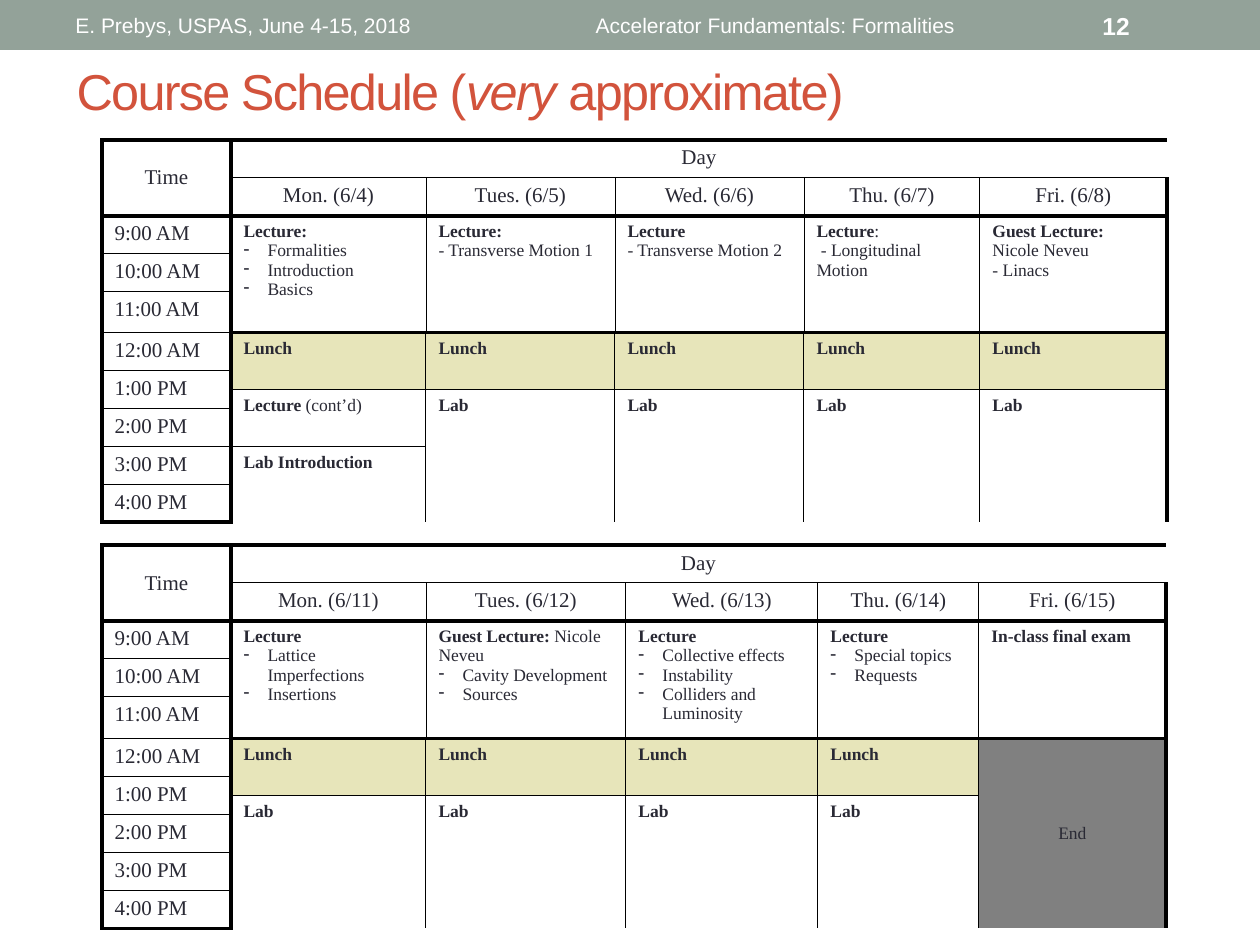
from lxml import etree
from pptx import Presentation, util as u
from pptx.dml.color import RGBColor
from pptx.enum import shapes, text
from pptx.oxml.ns import qn


def px(n):
    return u.Emu(round(n * 914400 / 126))


def add_run(paragraph, words, size, color, face, bold=False):
    run = paragraph.add_run()
    run.text = words
    run.font.size = u.Pt(size)
    run.font.name = face
    run.font.bold = bold
    run.font.color.rgb = RGBColor.from_string(color)
    return run


INK, LUNCH, GREY = "292934", "E7E5BA", "808080"
NO_STYLE = "{2D5ABB26-0587-4C30-8999-92F81FD0307C}"
LEFT, CENTER = text.PP_ALIGN.LEFT, text.PP_ALIGN.CENTER
MIDDLE = text.MSO_ANCHOR.MIDDLE

deck = Presentation()
deck.slide_width, deck.slide_height = px(1260), px(945)
slide = deck.slides.add_slide(deck.slide_layouts[5])

band = slide.shapes.add_shape(shapes.MSO_SHAPE.RECTANGLE, 0, 0, px(1260), px(50))
band.shadow.inherit = False
band.fill.solid()
band.fill.fore_color.rgb = RGBColor.from_string("93A299")
band.line.fill.background()

heading = slide.shapes.title
heading.left, heading.top, heading.width, heading.height = px(64), px(60), px(1139), px(61)
heading.text_frame.auto_size = text.MSO_AUTO_SIZE.NONE
heading.text_frame.vertical_anchor = MIDDLE
heading_line = heading.text_frame.paragraphs[0]
heading_line.alignment = LEFT
for words, italic in [("Course Schedule (", False), ("very", True), (" approximate)", False)]:
    run = add_run(heading_line, words, 28.8, "D2533C", "Arial")
    run.font.italic = italic
    run.font._element.set("spc", "-100")

for left, width, words, size, align, bold in [
    (63, 399, "E. Prebys, USPAS, June 4-15, 2018", 12, LEFT, False),
    (472, 607, "Accelerator Fundamentals: Formalities", 12, CENTER, False),
    (1090, 107, "12", 14, LEFT, True),
]:
    label = slide.shapes.add_textbox(px(left), px(3), px(width), px(45))
    label.text_frame.word_wrap = True
    label.text_frame.vertical_anchor = MIDDLE
    label.text_frame.paragraphs[0].alignment = align
    add_run(label.text_frame.paragraphs[0], words, size, "FFFFFF", "Arial", bold)

# A "|" divides bold words from plain ones; a leading "*" marks a bullet.
lab, lunch = (7, 4, ["Lab|"]), (5, 2, ["Lunch|"])
weeks = [
    (140, [129, 195, 189, 189, 176, 187], [
        ("Mon. (6/4)", [(2, 3, ["Lecture:|", "*Formalities", "*Introduction", "*Basics"]), lunch,
                        (7, 2, ["Lecture| (cont’d)"]), (9, 2, ["Lab Introduction|"])]),
        ("Tues. (6/5)", [(2, 3, ["Lecture:|", "- Transverse Motion 1"]), lunch, lab]),
        ("Wed. (6/6)", [(2, 3, ["Lecture|", "- Transverse Motion 2"]), lunch, lab]),
        ("Thu. (6/7)", [(2, 3, ["Lecture|:", " - Longitudinal Motion"]), lunch, lab]),
        ("Fri. (6/8)", [(2, 3, ["Guest Lecture: |Nicole Neveu", "- Linacs"]), lunch, lab]),
    ]),
    (545, [129, 195, 200, 192, 161, 187], [
        ("Mon. (6/11)", [(2, 3, ["Lecture|", "*Lattice Imperfections", "*Insertions"]), lunch, lab]),
        ("Tues. (6/12)", [(2, 3, ["Guest Lecture: |Nicole Neveu", "*Cavity Development", "*Sources"]),
                          lunch, lab]),
        ("Wed. (6/13)", [(2, 3, ["Lecture|", "*Collective effects", "*Instability",
                                 "*Colliders and Luminosity"]), lunch, lab]),
        ("Thu. (6/14)", [(2, 3, ["Lecture|", "*Special topics", "*Requests"]), lunch, lab]),
        ("Fri. (6/15)", [(2, 3, ["In-class final exam|"]), (5, 6, ["End"])]),
    ]),
]
hours = [(2, 1, "9:00 AM"), (3, 1, "10:00 AM"), (4, 1, "11:00 AM"), (5, 1, "12:00 AM"),
         (6, 2, "1:00 PM"), (8, 1, "2:00 PM"), (9, 1, "3:00 PM"), (10, 1, "4:00 PM")]
row_heights = [37, 38, 37, 37, 41, 37, 19, 19, 37, 38, 37]

for top, col_widths, days in weeks:
    schedule = slide.shapes.add_table(11, 6, px(102), px(top), px(sum(col_widths)),
                                      px(sum(row_heights))).table
    schedule.first_row = schedule.horz_banding = False
    schedule._tbl.tblPr.find(qn("a:tableStyleId")).text = NO_STYLE
    for column, width in zip(schedule.columns, col_widths):
        column.width = px(width)
    for row, height in zip(schedule.rows, row_heights):
        row.height = px(height)

    entries = [(0, 0, 2, 1, ["Time"], 12), (0, 1, 1, 5, ["Day"], 12)]
    entries += [(r, 0, span, 1, [hour], 12) for r, span, hour in hours]
    for c, (date, sessions) in enumerate(days, 1):
        entries.append((1, c, 1, 1, [date], 12))
        entries += [(r, c, span, 1, lines, 10) for r, span, lines in sessions]

    for r, c, down, across, lines, size in entries:
        bottom, right = r + down, c + across
        slot = schedule.cell(r, c)
        if down * across > 1:
            slot.merge(schedule.cell(bottom - 1, right - 1))
        thin_side = 0.75 if c and r >= 5 else 0.5
        edges = [
            ("a:lnL", 2.25 if c < 2 else thin_side, lambda i, j: j == c),
            ("a:lnR", 2.25 if right in (1, 6) else thin_side, lambda i, j: j == right - 1),
            ("a:lnT", 2.25 if r in (0, 2) else 0.75 if c and r > 5 else 0.5, lambda i, j: i == r),
            ("a:lnB", 2.25 if bottom in (2, 11) else thin_side, lambda i, j: i == bottom - 1),
        ]
        for i in range(r, bottom):
            for j in range(c, right):
                part = schedule.cell(i, j)
                props = part._tc.get_or_add_tcPr()
                for tag, weight, on_edge in edges:
                    if on_edge(i, j):
                        edge = etree.SubElement(props, qn(tag), w=str(u.Pt(weight)))
                        fill = etree.SubElement(edge, qn("a:solidFill"))
                        etree.SubElement(fill, qn("a:srgbClr"), val="000000")
                shade = {"Lunch|": LUNCH, "End": GREY}.get(lines[0])
                if shade:
                    part.fill.solid()
                    part.fill.fore_color.rgb = RGBColor.from_string(shade)
                else:
                    part.fill.background()

        if lines[0] in ("Time", "End"):
            slot.vertical_anchor = MIDDLE
        frame = slot.text_frame
        for n, line in enumerate(lines):
            paragraph = frame.add_paragraph() if n else frame.paragraphs[0]
            paragraph.alignment = CENTER if r < 2 or line == "End" else LEFT
            if line.startswith("*"):
                bullet_props = paragraph._p.get_or_add_pPr()
                bullet_props.set("marL", str(px(24)))
                bullet_props.set("indent", str(-px(24)))
                etree.SubElement(bullet_props, qn("a:buChar"), char="-")
            strong, _, plain = line.lstrip("*").rpartition("|")
            for words, bold in [(strong, True), (plain, False)]:
                if words:
                    add_run(paragraph, words, size, INK, "Times New Roman", bold)

deck.save("out.pptx")
